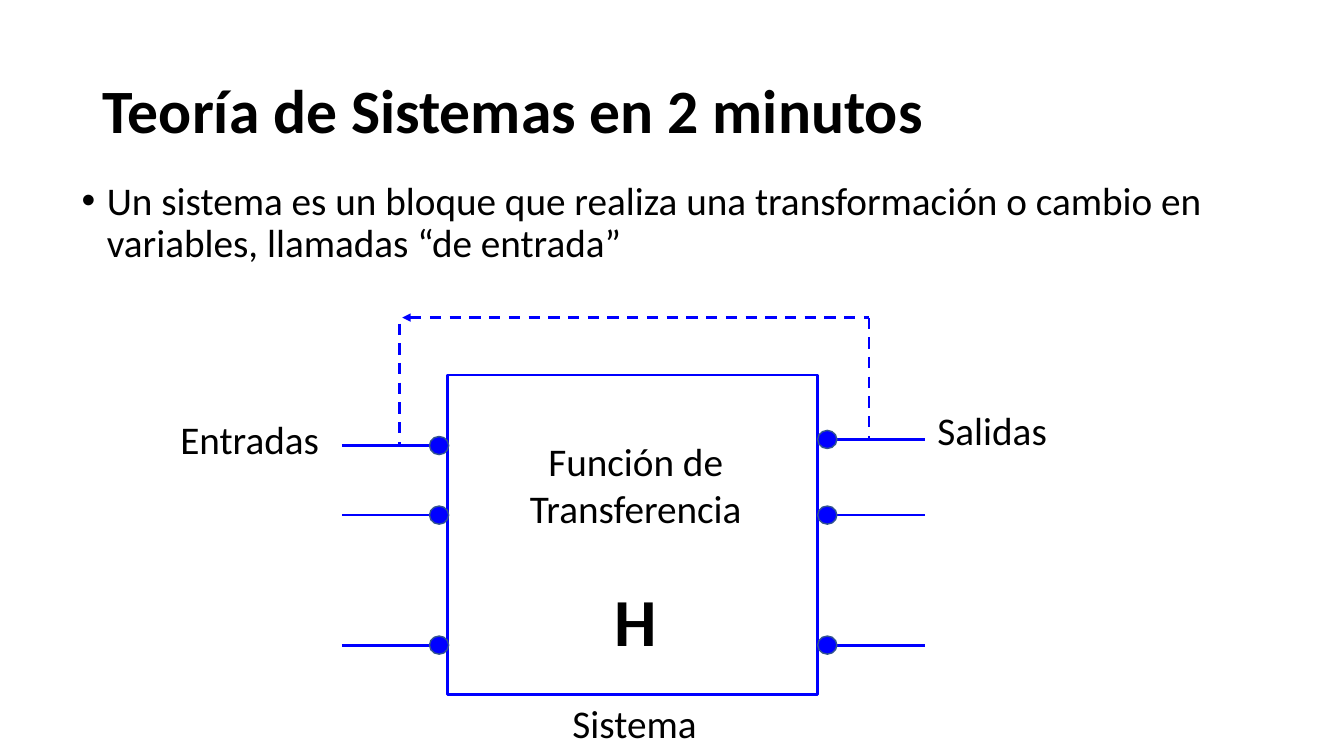
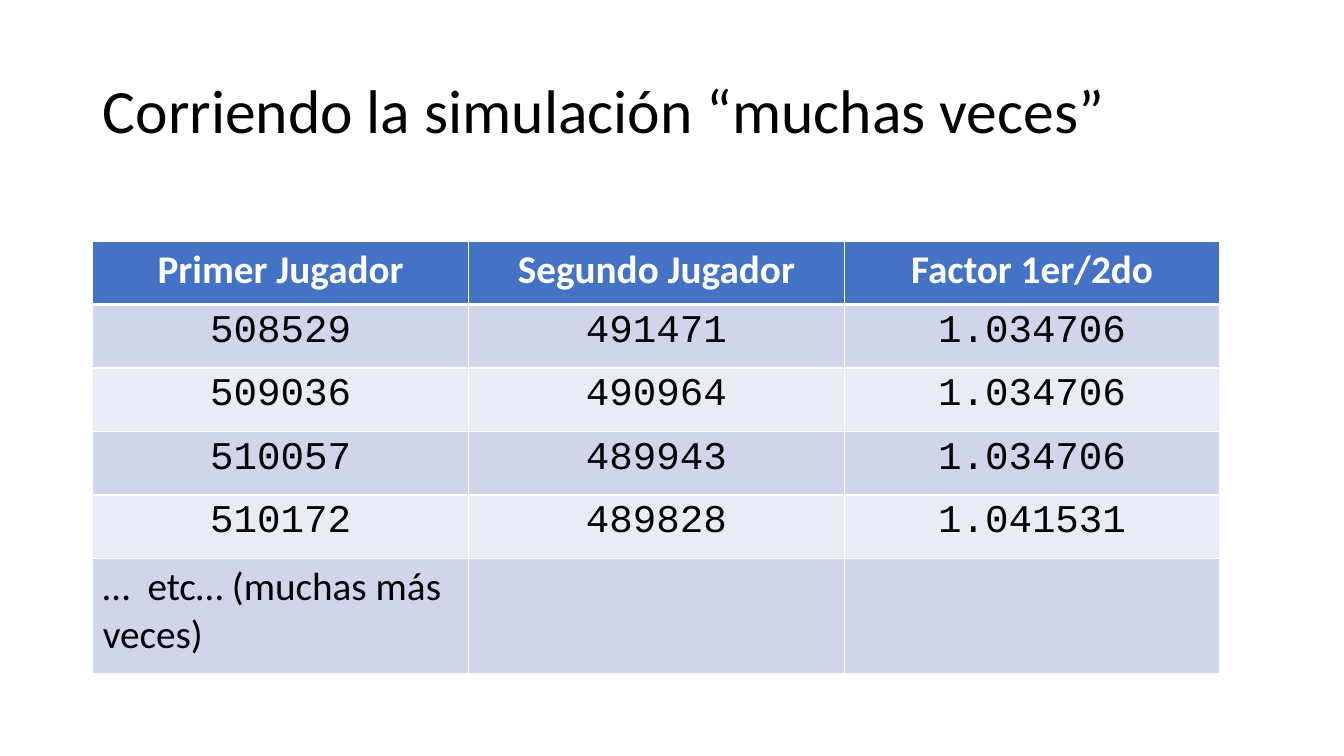
from dataclasses import dataclass

from lxml.etree import SubElement
from pptx import Presentation
from pptx.dml.color import RGBColor
from pptx.enum.dml import MSO_LINE
from pptx.enum.shapes import MSO_CONNECTOR, MSO_SHAPE
from pptx.enum.text import MSO_ANCHOR, MSO_AUTO_SIZE, PP_ALIGN
from pptx.oxml.ns import qn
from pptx.util import Inches, Pt

BLACK = RGBColor(0x00, 0x00, 0x00)
WHITE = RGBColor(0xFF, 0xFF, 0xFF)
BLUE = RGBColor(0x00, 0x00, 0xFF)
RIM = RGBColor(0x32, 0x54, 0x91)
HEAD = RGBColor(0x44, 0x72, 0xC4)
BANDS = (RGBColor(0xCF, 0xD5, 0xEA), RGBColor(0xE9, 0xEB, 0xF5))
SANS, MONO = "Calibri", "Courier New"

DOT_W, DOT_H = 0.19, 0.18
BOX_L, BOX_T, BOX_W, BOX_H = 4.44, 3.72, 3.67, 3.17
WIRE = 0.87


@dataclass(frozen=True)
class Port:
    """A dot on the side of the system box; wire is the x of its outer end."""
    dot: float
    start: float
    end: float
    y: float


@dataclass(frozen=True)
class Label:
    text: str
    left: float
    top: float


IN_X = BOX_L + 0.01 - DOT_W
OUT_X = BOX_L + BOX_W
PORTS = [Port(IN_X, IN_X - WIRE, IN_X, y) for y in (4.42, 5.11, 6.4)] + [
    Port(OUT_X, OUT_X + DOT_W, OUT_X + DOT_W + WIRE, y)
    for y in (4.36, 5.11, 6.4)]
LABELS = [
    Label("Entradas", 1.69, 4.07),
    Label("Salidas", 9.2, 3.98),
    Label("Sistema", 5.58, 6.89),
]
ROWS = [
    ("Primer Jugador", "Segundo Jugador", "Factor 1er/2do"),
    ("508529", "491471", "1.034706"),
    ("509036", "490964", "1.034706"),
    ("510057", "489943", "1.034706"),
    ("510172", "489828", "1.041531"),
    ("…  etc… (muchas más veces)", "", ""),
]


def write(frame, text: str, *, size: float = 28, font: str = SANS,
          color: RGBColor = BLACK, bold: bool = False,
          align=PP_ALIGN.LEFT, line: float = 1.0, before: float = 0,
          bullet: bool = False) -> None:
    """Fill the first paragraph if it is empty, otherwise add one."""
    first = frame.paragraphs[0]
    para = frame.add_paragraph() if first.runs else first
    para.alignment, para.line_spacing = align, line
    para.space_before = Pt(before)
    if bullet:
        props = para._p.get_or_add_pPr()
        props.set("marL", str(Inches(0.25)))
        props.set("indent", str(Inches(-0.25)))
        SubElement(props, qn("a:buFont"), typeface="Arial")
        SubElement(props, qn("a:buChar"), char="•")
    run = para.add_run()
    run.text = text
    run.font.name, run.font.size = font, Pt(size)
    run.font.bold, run.font.color.rgb = bold, color


def place(shape, left: float, top: float, width: float, height: float):
    shape.left, shape.top = Inches(left), Inches(top)
    shape.width, shape.height = Inches(width), Inches(height)
    shape.text_frame.auto_size = MSO_AUTO_SIZE.NONE
    return shape.text_frame


def start(deck, layout: int, title: str, bold: bool = False):
    slide = deck.slides.add_slide(deck.slide_layouts[layout])
    frame = place(slide.shapes.title, 0.92, 0.4, 11.5, 1.45)
    frame.vertical_anchor = MSO_ANCHOR.MIDDLE
    write(frame, title, size=44, bold=bold, line=0.9)
    return slide


def textbox(slide, left: float, top: float, width: float, height: float):
    box = slide.shapes.add_textbox(
        Inches(left), Inches(top), Inches(width), Inches(height))
    box.text_frame.word_wrap = True
    box.text_frame.auto_size = MSO_AUTO_SIZE.SHAPE_TO_FIT_TEXT
    return box.text_frame


def shape(slide, kind, left: float, top: float, width: float, height: float,
          rim: RGBColor, weight: float, fill: RGBColor | None = None) -> None:
    item = slide.shapes.add_shape(
        kind, Inches(left), Inches(top), Inches(width), Inches(height))
    item.shadow.inherit = False
    item.line.color.rgb, item.line.width = rim, Pt(weight)
    if fill is None:
        item.fill.background()
    else:
        item.fill.solid()
        item.fill.fore_color.rgb = fill


def wire(slide, x1: float, y1: float, x2: float, y2: float,
         dash: bool = False, arrow: bool = False) -> None:
    """Draw a blue line; an arrow points at its start."""
    link = slide.shapes.add_connector(
        MSO_CONNECTOR.STRAIGHT, Inches(x1), Inches(y1), Inches(x2), Inches(y2))
    link.line.color.rgb, link.line.width = BLUE, Pt(2)
    if dash:
        link.line.dash_style = MSO_LINE.DASH
    if arrow:
        SubElement(link.line._get_or_add_ln(), qn("a:headEnd"),
                   type="triangle")
    SubElement(link._element.spPr, qn("a:effectLst"))


def border(cell, top: float, bottom: float) -> None:
    props = cell._tc.get_or_add_tcPr()
    for side, weight in zip("LRTB", (1, 1, top, bottom)):
        edge = SubElement(props, qn(f"a:ln{side}"), w=str(Pt(weight)))
        fill = SubElement(edge, qn("a:solidFill"))
        SubElement(fill, qn("a:srgbClr"), val=str(WHITE))


def system(deck) -> None:
    slide = start(deck, 1, "Teoría de Sistemas en 2 minutos", bold=True)
    body = place(slide.placeholders[1], 0.71, 1.75, 11.5, 4.76)
    write(body, "Un sistema es un bloque que realiza una transformación o "
          "cambio en variables, llamadas “de entrada”", line=0.9, bullet=True)

    shape(slide, MSO_SHAPE.RECTANGLE, BOX_L, BOX_T, BOX_W, BOX_H, BLUE, 2)
    for port in PORTS:
        wire(slide, port.start, port.y, port.end, port.y)
        shape(slide, MSO_SHAPE.OVAL, port.dot, port.y - DOT_H / 2,
              DOT_W, DOT_H, RIM, 1, BLUE)
    for label in LABELS:
        write(textbox(slide, label.left, label.top, 1.7, 0.57), label.text)

    inner = textbox(slide, 4.47, 4.29, BOX_W, 2.32)
    write(inner, "Función de Transferencia", align=PP_ALIGN.CENTER)
    write(inner, "H", size=48, bold=True, align=PP_ALIGN.CENTER, before=34)

    wire(slide, 3.99, 3.15, 8.62, 3.15, dash=True, arrow=True)
    wire(slide, 8.62, 3.15, 8.62, 4.36, dash=True)
    wire(slide, 3.96, 3.21, 3.96, 4.42, dash=True)


def results(deck) -> None:
    slide = start(deck, 5, "Corriendo la simulación “muchas veces”")
    last = len(ROWS) - 1
    table = slide.shapes.add_table(
        len(ROWS), len(ROWS[0]), Inches(0.92), Inches(2.39),
        Inches(11.18), Inches(4.27)).table
    for r, row in enumerate(ROWS):
        table.rows[r].height = Inches(1.14 if r == last else 0.63)
        for c, text in enumerate(row):
            cell = table.cell(r, c)
            border(cell, top=3 if r == 1 else 1, bottom=3 if r == 0 else 1)
            cell.fill.solid()
            cell.fill.fore_color.rgb = BANDS[(r - 1) % 2] if r else HEAD
            if text:
                write(cell.text_frame, text, bold=r == 0,
                      color=BLACK if r else WHITE,
                      font=MONO if 0 < r < last else SANS,
                      align=PP_ALIGN.LEFT if r == last else PP_ALIGN.CENTER)


def main() -> None:
    deck = Presentation()
    deck.slide_width, deck.slide_height = Inches(13.33), Inches(7.5)
    system(deck)
    results(deck)
    deck.save("out.pptx")


if __name__ == "__main__":
    main()
